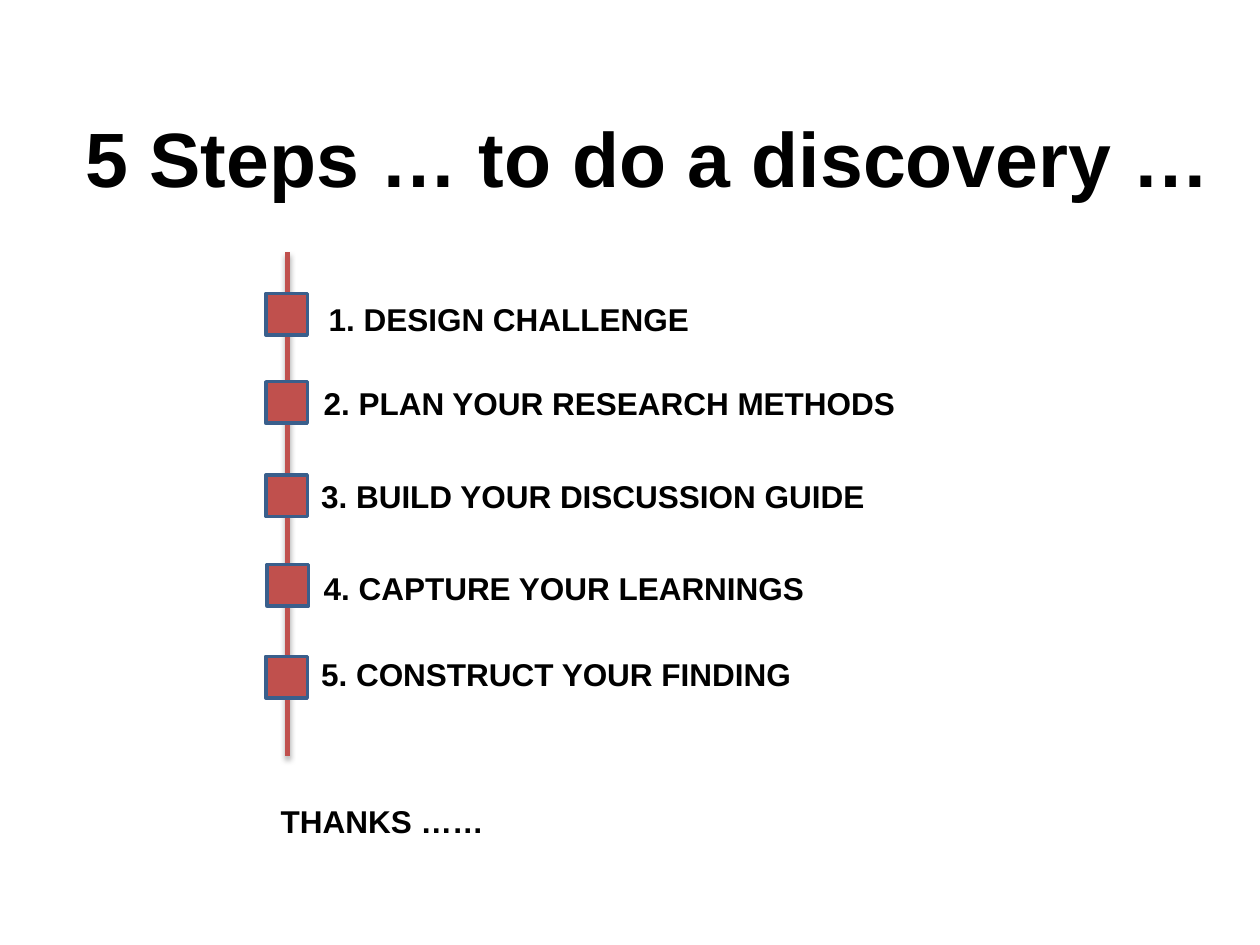
"""Build the five-step discovery timeline slide."""
from lxml import etree
from pptx import Presentation
from pptx.dml.color import RGBColor
from pptx.enum import shapes, text
from pptx.oxml import ns
from pptx.util import Inches, Pt

BLACK = RGBColor(0x00, 0x00, 0x00)
RED = RGBColor(0xC0, 0x50, 0x4D)
BLUE = RGBColor(0x3A, 0x5F, 0x8C)

deck = Presentation()
deck.slide_width, deck.slide_height = Inches(10), Inches(7.5)
page = deck.slides.add_slide(deck.slide_layouts[6])


def add_text(words, left, top, width, height=0.4, size=18):
    box = page.shapes.add_textbox(Inches(left), Inches(top), Inches(width), Inches(height))
    box.text_frame.word_wrap = False
    box.text_frame.auto_size = text.MSO_AUTO_SIZE.SHAPE_TO_FIT_TEXT
    span = box.text_frame.paragraphs[0].add_run()
    span.text = words
    span.font.name = "Arial"
    span.font.size = Pt(size)
    span.font.bold = True
    span.font.color.rgb = BLACK


timeline = page.shapes.add_connector(
    shapes.MSO_CONNECTOR.STRAIGHT, Inches(2.28), Inches(2), Inches(2.28), Inches(6))
timeline.line.color.rgb = RED
timeline.line.width = Pt(3)
effects = etree.SubElement(timeline._element.spPr, ns.qn("a:effectLst"))
shadow = etree.SubElement(effects, ns.qn("a:outerShdw"), blurRad=str(Pt(3.1)),
                          dist=str(Pt(1.8)), dir="5400000", rotWithShape="0")
shade = etree.SubElement(shadow, ns.qn("a:srgbClr"), val=str(BLACK))
etree.SubElement(shade, ns.qn("a:alpha"), val="35000")

add_text("5 Steps … to do a discovery …", 0.58, 0.83, 9.23, height=0.84, size=44)

steps = [
    ("1. DESIGN CHALLENGE", 2.51, 2.33, 3.16, 2.11, 2.33),
    ("2. PLAN YOUR RESEARCH METHODS", 2.47, 3, 4.85, 2.11, 3.03),
    ("3. BUILD YOUR DISCUSSION GUIDE", 2.45, 3.74, 4.63, 2.11, 3.77),
    ("4. CAPTURE YOUR LEARNINGS", 2.47, 4.47, 4.12, 2.12, 4.48),
    ("5. CONSTRUCT YOUR FINDING", 2.45, 5.15, 3.97, 2.11, 5.21),
]
for label, left, top, width, marker_left, marker_top in steps:
    add_text(label, left, top, width)
    marker = page.shapes.add_shape(
        shapes.MSO_SHAPE.RECTANGLE, Inches(marker_left), Inches(marker_top),
        Inches(0.33), Inches(0.33))
    marker.shadow.inherit = False
    marker.fill.solid()
    marker.fill.fore_color.rgb = RED
    marker.line.color.rgb = BLUE
    marker.line.width = Pt(2)

add_text("THANKS ……", 2.13, 6.32, 1.83)

deck.save("out.pptx")
